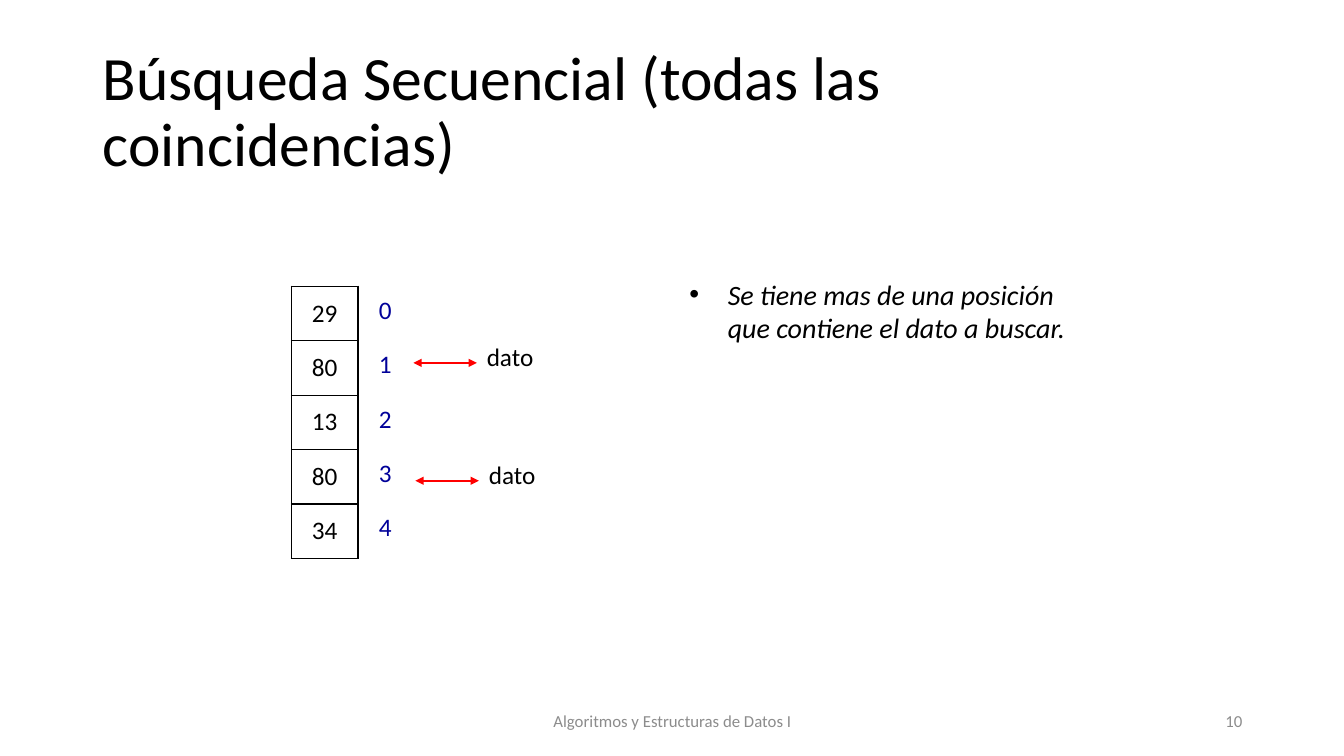
from dataclasses import dataclass
from lxml import etree
from pptx import Presentation
from pptx.dml.color import RGBColor
from pptx.enum.shapes import MSO_CONNECTOR
from pptx.enum.text import MSO_ANCHOR, MSO_AUTO_SIZE, PP_ALIGN
from pptx.oxml.ns import qn
from pptx.util import Inches, Pt

LEFT, CENTER, RIGHT = PP_ALIGN.LEFT, PP_ALIGN.CENTER, PP_ALIGN.RIGHT
TOP, MIDDLE = MSO_ANCHOR.TOP, MSO_ANCHOR.MIDDLE
FIT = MSO_AUTO_SIZE.SHAPE_TO_FIT_TEXT
STRAIGHT = MSO_CONNECTOR.STRAIGHT


@dataclass(frozen=True)
class Theme:
    font: str = "Calibri"
    ink: str = "000000"
    index: str = "000099"
    muted: str = "8C8C8C"
    arrow: str = "FF0000"
    title: int = 44
    note: int = 20
    body: int = 18
    foot: int = 12


THEME = Theme()
WIDE, HIGH = 13.33, 7.5
ROW, COL = 0.54, 0.66


def style(para, size, color, align=LEFT):
    para.alignment = align
    font = para.font
    font.name = THEME.font
    font.size = Pt(size)
    font.color.rgb = RGBColor.from_string(color)


def label(slide, box, text, size, color, align=LEFT, anchor=TOP, wrap=True):
    shape = slide.shapes.add_textbox(*map(Inches, box))
    frame = shape.text_frame
    frame.word_wrap = wrap
    frame.vertical_anchor = anchor
    para = frame.paragraphs[0]
    para.text = text
    style(para, size, color, align)
    return frame


def header(slide, box, text):
    frame = label(slide, box, text, THEME.title, THEME.ink, anchor=MIDDLE)
    frame.paragraphs[0].line_spacing = 0.9


def footer(slide, box, text, number):
    left, top, width, height = box
    label(slide, (left + 3.5, top, 4.5, height), text,
          THEME.foot, THEME.muted, CENTER, MIDDLE)
    label(slide, (left + width - 3, top, 3, height), number,
          THEME.foot, THEME.muted, RIGHT, MIDDLE)


def border(cell, color):
    props = cell._tc.get_or_add_tcPr()
    for place, side in enumerate(("a:lnL", "a:lnR", "a:lnT", "a:lnB")):
        line = etree.Element(qn(side), w=str(Pt(1)))
        if color:
            fill = etree.SubElement(line, qn("a:solidFill"))
            etree.SubElement(fill, qn("a:srgbClr"), val=color)
        else:
            etree.SubElement(line, qn("a:noFill"))
        props.insert(place, line)


def column(slide, box, values, color, anchor, edge=None):
    frame = slide.shapes.add_table(len(values), 1, *map(Inches, box))
    table = frame.table
    table.first_row = table.horz_banding = False
    for row, value in enumerate(values):
        cell = table.cell(row, 0)
        cell.text = str(value)
        cell.vertical_anchor = anchor
        cell.fill.background()
        style(cell.text_frame.paragraphs[0], THEME.body, color, CENTER)
        border(cell, edge)


def match(slide, box, text):
    left, top, width, height = box
    start = left + 0.63
    frame = label(slide, (start, top, width - 0.63, height), text,
                  THEME.body, THEME.ink, wrap=False)
    frame.auto_size = FIT
    mid = top + 0.26
    arrow = slide.shapes.add_connector(
        STRAIGHT, *map(Inches, (start, mid, left, mid)))
    arrow.line.color.rgb = RGBColor.from_string(THEME.arrow)
    arrow.line.width = Pt(1.5)
    line = arrow.line._get_or_add_ln()
    for end in ("a:headEnd", "a:tailEnd"):
        etree.SubElement(line, qn(end), type="triangle")
    etree.SubElement(arrow._element.spPr, qn("a:effectLst"))


def search(slide, box, values):
    left, top, width, height = box
    column(slide, (left, top, COL, height), values, THEME.ink, MIDDLE, THEME.ink)
    column(slide, (left + 0.6, top + 0.04, COL, height),
           range(len(values)), THEME.index, TOP)
    for shift, drop in ((1.21, 0.5), (1.23, 1.67)):
        match(slide, (left + shift, top + drop, 1.3, 0.4), "dato")


def note(slide, box, text):
    frame = label(slide, box, text, THEME.note, THEME.ink)
    frame.auto_size = FIT
    para = frame.paragraphs[0]
    para.font.italic = True
    props = para._p.get_or_add_pPr()
    props.set("marL", str(Inches(0.38)))
    props.set("indent", str(Inches(-0.38)))
    face = etree.Element(qn("a:buFont"), typeface="Arial")
    mark = etree.Element(qn("a:buChar"), char="•")
    props.insert(0, face)
    props.insert(1, mark)


def main():
    deck = Presentation()
    deck.slide_width, deck.slide_height = Inches(WIDE), Inches(HIGH)
    slide = deck.slides.add_slide(deck.slide_layouts[6])
    values = (29, 80, 13, 80, 34)
    header(slide, (0.92, 0.4, 11.5, 1.45),
           "Búsqueda Secuencial (todas las coincidencias)")
    search(slide, (2.89, 2.84, 2.5, len(values) * ROW), values)
    note(slide, (6.74, 2.7, 4.27, 0.77),
         "Se tiene mas de una posición que contiene el dato a buscar.")
    footer(slide, (0.92, 6.95, 11.5, 0.4),
           "Algoritmos y Estructuras de Datos I", "10")
    deck.save("out.pptx")


if __name__ == "__main__":
    main()
